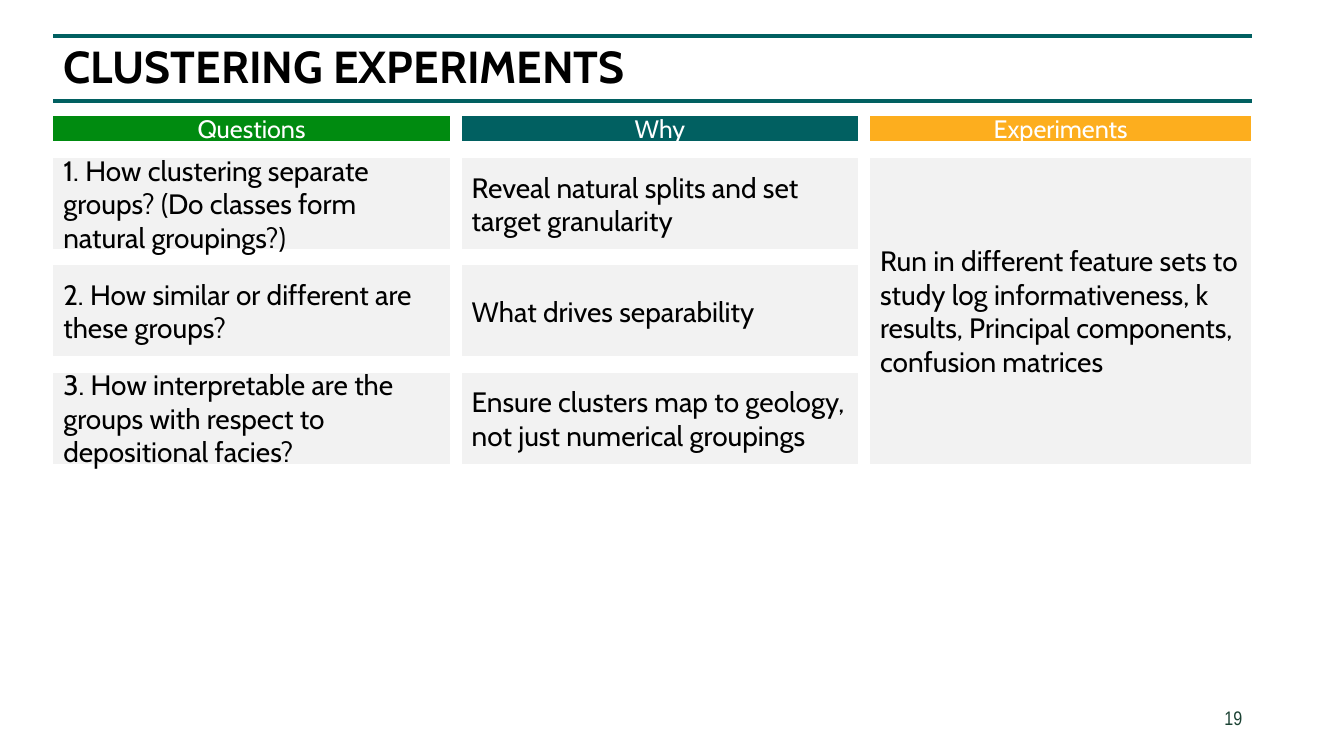
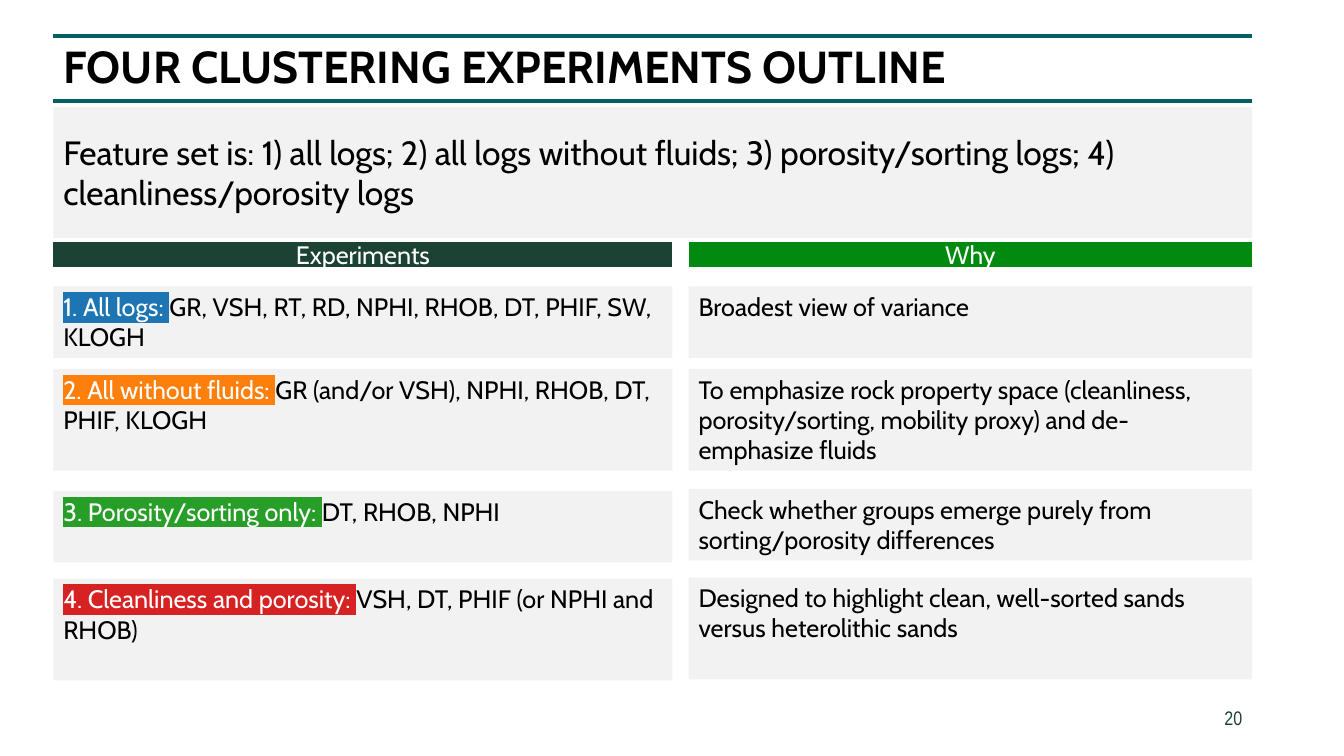
from lxml.etree import SubElement
from pptx import Presentation
from pptx.dml.color import RGBColor
from pptx.enum.shapes import MSO_CONNECTOR, MSO_SHAPE
from pptx.enum.text import MSO_ANCHOR, MSO_AUTO_SIZE, PP_ALIGN
from pptx.oxml.ns import qn
from pptx.util import Inches, Pt

COLORS = {
    "teal": "016061", "green": "008B10", "amber": "FDAE1E", "forest": "1B4233",
    "panel": "F2F2F2", "black": "000000", "white": "FFFFFF",
    "all_logs": "1D76B3", "no_fluids": "FF7F0D",
    "porosity": "279E27", "cleanliness": "D62222",
}
LEFT, CONTENT_WIDTH = 0.53, 11.89
HEADER_HEIGHT = 0.25


def rgb(color):
    return RGBColor.from_string(COLORS[color])


class Deck:
    font = "Cabin"
    number_font = "Arial Narrow"

    def __init__(self):
        self.prs = Presentation()
        self.prs.slide_width = Inches(13.33)
        self.prs.slide_height = Inches(7.5)
        self.slide = None

    def style(self, paragraph, size, color=None, align=PP_ALIGN.LEFT, name=font):
        paragraph.alignment = align
        paragraph.font.size = Pt(size)
        paragraph.font.name = name
        if color:
            paragraph.font.color.rgb = rgb(color)

    def start(self, title, number):
        self.slide = self.prs.slides.add_slide(self.prs.slide_layouts[5])
        for y in (0.36, 1):
            self.rule(y)
        self.title(title)
        self.number(number)

    def rule(self, y):
        line = self.slide.shapes.add_connector(
            MSO_CONNECTOR.STRAIGHT, Inches(LEFT), Inches(y),
            Inches(LEFT + CONTENT_WIDTH), Inches(y))
        line.line.color.rgb = rgb("teal")
        line.line.width = Pt(3)
        SubElement(line._element.spPr, qn("a:effectLst"))

    def title(self, text):
        title = self.slide.shapes.title
        title.left, title.top = Inches(LEFT), Inches(0.39)
        title.width, title.height = Inches(CONTENT_WIDTH), Inches(0.59)
        frame = title.text_frame
        frame.text = text
        frame.auto_size = MSO_AUTO_SIZE.NONE
        frame.vertical_anchor = MSO_ANCHOR.MIDDLE
        heading = frame.paragraphs[0]
        self.style(heading, 32, "black")
        heading.font.bold = True
        heading.line_spacing = 0.9

    def number(self, number):
        box = self.slide.shapes.add_textbox(
            Inches(9.42), Inches(6.95), Inches(3), Inches(0.4))
        box.text_frame.word_wrap = True
        box.text_frame.text = str(number)
        self.style(box.text_frame.paragraphs[0], 14, "forest",
                   PP_ALIGN.RIGHT, self.number_font)

    def block(self, bounds, fill, anchor, preset):
        shape = self.slide.shapes.add_shape(preset, *map(Inches, bounds))
        shape.shadow.inherit = False
        shape.fill.solid()
        shape.fill.fore_color.rgb = rgb(fill)
        shape.line.fill.background()
        shape.text_frame.word_wrap = True
        shape.text_frame.vertical_anchor = anchor
        return shape.text_frame

    def header(self, x, y, width, text, fill):
        frame = self.block((x, y, width, HEADER_HEIGHT), fill,
                           MSO_ANCHOR.MIDDLE, MSO_SHAPE.FLOWCHART_PROCESS)
        frame.text = text
        self.style(frame.paragraphs[0], 18, "white", PP_ALIGN.CENTER)

    def panel(self, bounds, text, size, anchor=MSO_ANCHOR.MIDDLE,
              preset=MSO_SHAPE.RECTANGLE):
        frame = self.block(bounds, "panel", anchor, preset)
        frame.text = text
        self.style(frame.paragraphs[0], size, "black")

    def labelled_panel(self, bounds, label, highlight, text):
        frame = self.block(bounds, "panel", MSO_ANCHOR.TOP, MSO_SHAPE.RECTANGLE)
        paragraph = frame.paragraphs[0]
        self.style(paragraph, 18)
        tag, logs = paragraph.add_run(), paragraph.add_run()
        tag.text, logs.text = label + " ", text
        tag.font.color.rgb = rgb("white")
        logs.font.color.rgb = rgb("black")
        mark = SubElement(tag.font._element, qn("a:highlight"))
        SubElement(mark, qn("a:srgbClr"), val=COLORS[highlight])


def clustering_experiments(deck):
    deck.start("CLUSTERING EXPERIMENTS", 19)
    columns = [
        ("Questions", "green", 3.93, [
            "1. How clustering separate groups? (Do classes form natural groupings?)",
            "2. How similar or different are these groups?",
            "3. How interpretable are the groups with respect to depositional facies?"]),
        ("Why", "teal", 3.93, [
            "Reveal natural splits and set target granularity",
            "What drives separability",
            "Ensure clusters map to geology, not just numerical groupings"]),
        ("Experiments", "amber", 3.78, [
            "Run in different feature sets to study log informativeness, k results, "
            "Principal components, confusion matrices"]),
    ]
    column_pitch, body_top, body_height, gap = 4.05, 1.57, 3.03, 0.16
    for column, (name, fill, width, texts) in enumerate(columns):
        x = LEFT + column * column_pitch
        deck.header(x, 1.15, width, name, fill)
        height = (body_height + gap) / len(texts) - gap
        for row, text in enumerate(texts):
            y = body_top + row * (height + gap)
            deck.panel((x, y, width, height), text, 20,
                       preset=MSO_SHAPE.FLOWCHART_PROCESS)


def experiments_outline(deck):
    deck.start("FOUR CLUSTERING EXPERIMENTS OUTLINE", 20)
    deck.panel((LEFT, 1.06, CONTENT_WIDTH, 1.3),
               "Feature set is: 1) all logs; 2) all logs without fluids; "
               "3) porosity/sorting logs; 4) cleanliness/porosity logs", 24)
    why_left, logs_width, why_width = 6.83, 6.14, 5.59
    deck.header(LEFT, 2.4, logs_width, "Experiments", "forest")
    deck.header(why_left, 2.4, why_width, "Why", "green")
    experiments = [
        (2.84, 2.84, 0.71, "1. All logs:", "all_logs",
         "GR, VSH, RT, RD, NPHI, RHOB, DT, PHIF, SW, KLOGH",
         "Broadest view of variance"),
        (3.66, 3.66, 1.01, "2. All without fluids:", "no_fluids",
         "GR (and/or VSH), NPHI, RHOB, DT, PHIF, KLOGH",
         "To emphasize rock property space (cleanliness, porosity/sorting, "
         "mobility proxy) and de-emphasize fluids"),
        (4.87, 4.85, 0.71, "3. Porosity/sorting only:", "porosity",
         "DT, RHOB, NPHI",
         "Check whether groups emerge purely from sorting/porosity differences"),
        (5.74, 5.73, 1.01, "4. Cleanliness and porosity:", "cleanliness",
         "VSH, DT, PHIF (or NPHI and RHOB)",
         "Designed to highlight clean, well-sorted sands versus heterolithic sands"),
    ]
    for logs_top, why_top, height, label, highlight, logs, why in experiments:
        deck.labelled_panel((LEFT, logs_top, logs_width, height),
                            label, highlight, logs)
        deck.panel((why_left, why_top, why_width, height), why, 18, MSO_ANCHOR.TOP)


def main():
    deck = Deck()
    clustering_experiments(deck)
    experiments_outline(deck)
    deck.prs.save("out.pptx")


if __name__ == "__main__":
    main()
